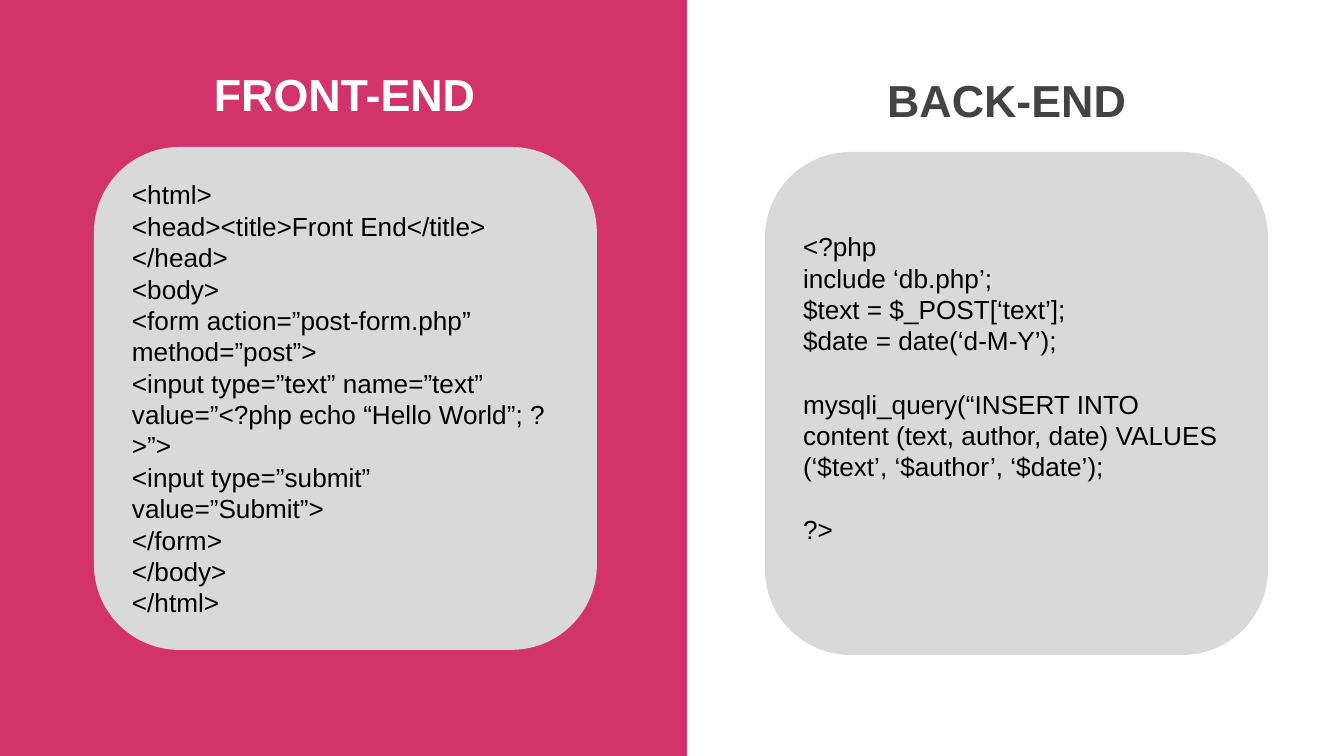
import pptx
import pptx.dml.color
import pptx.enum.shapes
import pptx.enum.text
import pptx.util

PX = 914400 / 134.4
THEME = {
    "font": "Arial", "heading": 24, "code": 14, "blank_line": 17,
    "pink": "D23369", "white": "FFFFFF", "panel": "D9D9D9",
    "dark": "434343", "black": "000000",
}
SHAPES = pptx.enum.shapes.MSO_SHAPE
ALIGN = pptx.enum.text.PP_ALIGN
ANCHOR = pptx.enum.text.MSO_ANCHOR


def px(*lengths):
    return [pptx.util.Emu(round(length * PX)) for length in lengths]


def write(shape, paragraphs, size, color, bold=False, align=ALIGN.LEFT,
          anchor=ANCHOR.TOP, bottom=13):
    """Fill a shape with paragraphs; an empty string adds a gap before the next one."""
    frame = shape.text_frame
    frame.word_wrap = True
    frame.auto_size = pptx.enum.text.MSO_AUTO_SIZE.NONE
    frame.vertical_anchor = anchor
    frame.margin_left, frame.margin_top, frame.margin_right, frame.margin_bottom = px(13, 13, 13, bottom)
    frame.text = "\n".join(text for text in paragraphs if text)
    gaps = [before == "" for before, text in zip([None] + paragraphs, paragraphs) if text]
    for paragraph, gap in zip(frame.paragraphs, gaps):
        paragraph.alignment = align
        paragraph.line_spacing = 1.0
        paragraph.space_before = pptx.util.Pt(THEME["blank_line"] if gap else 0)
        font = paragraph.runs[0].font
        font.name, font.size, font.bold = THEME["font"], pptx.util.Pt(size), bold
        font.color.rgb = pptx.dml.color.RGBColor.from_string(color)


presentation = pptx.Presentation()
presentation.slide_width, presentation.slide_height = px(1344, 756)
slide = presentation.slides.add_slide(presentation.slide_layouts[5])
slide.background.fill.solid()
slide.background.fill.fore_color.rgb = pptx.dml.color.RGBColor.from_string(THEME["pink"])

white = pptx.dml.color.RGBColor.from_string(THEME["white"])
back_half = slide.shapes.add_shape(SHAPES.RECTANGLE, *px(688, 0, 656, 756))
back_half.shadow.inherit = False
back_half.fill.solid()
back_half.fill.fore_color.rgb = white
back_half.line.color.rgb = white
back_half.line.width = pptx.util.Pt(0.75)

front_code = [
    "<html>",
    "<head><title>Front End</title>",
    "</head>",
    "<body>",
    "<form action=”post-form.php” method=”post”>",
    "<input type=”text” name=”text” value=”<?php echo “Hello World”; ?>”>",
    "<input type=”submit” value=”Submit”>",
    "</form>",
    "</body>",
    "</html>",
]
back_code = [
    "<?php",
    "include ‘db.php’;",
    "$text = $_POST[‘text’];",
    "$date = date(‘d-M-Y’);",
    "",
    "mysqli_query(“INSERT INTO content (text, author, date) VALUES (‘$text’, ‘$author’, ‘$date’);",
    "",
    "?>",
]
front_heading = slide.shapes.title
back_heading = slide.shapes.add_textbox(0, 0, 0, 0)

# heading, its text, colour, left and top; code, panel left and top, bottom inset
sides = [
    (front_heading, "FRONT-END", THEME["white"], 98, 54, front_code, 94, 147, 13),
    (back_heading, "BACK-END", THEME["dark"], 760, 60, back_code, 765, 152, 44),
]
for heading, label, color, left, top, code, panel_left, panel_top, bottom in sides:
    panel = slide.shapes.add_shape(SHAPES.ROUNDED_RECTANGLE, *px(panel_left, panel_top, 503, 503))
    panel.shadow.inherit = False
    panel.adjustments[0] = 0.17
    panel.fill.solid()
    panel.fill.fore_color.rgb = pptx.dml.color.RGBColor.from_string(THEME["panel"])
    panel.line.fill.background()
    write(panel, code, THEME["code"], THEME["black"], anchor=ANCHOR.MIDDLE, bottom=bottom)

    heading.left, heading.top, heading.width, heading.height = px(left, top, 493, 93)
    write(heading, [label], THEME["heading"], color, bold=True, align=ALIGN.CENTER)

presentation.save("out.pptx")
